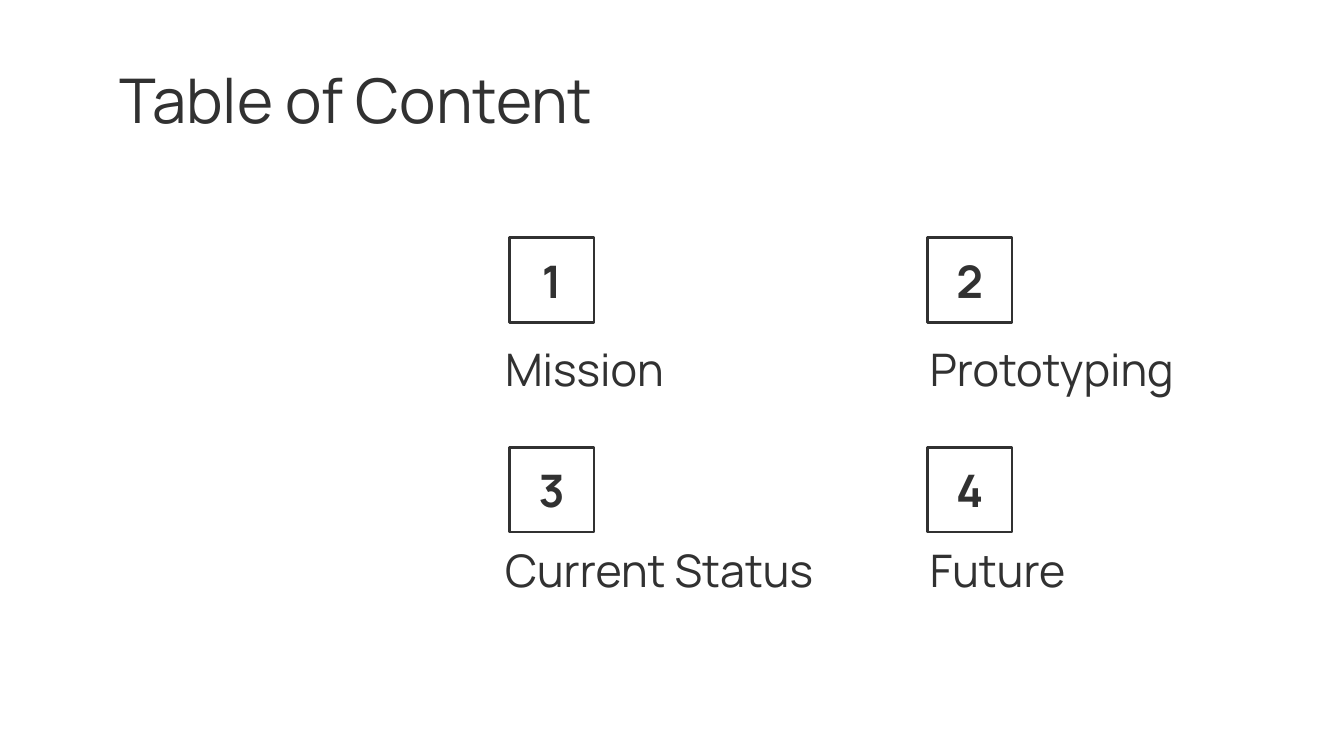
from dataclasses import dataclass

from pptx import Presentation
from pptx.dml.color import RGBColor
from pptx.enum.shapes import MSO_SHAPE
from pptx.enum.text import MSO_ANCHOR, MSO_AUTO_SIZE, PP_ALIGN
from pptx.util import Inches, Pt


@dataclass(frozen=True)
class Theme:
    """Colours, font and type sizes of the slide."""
    ink: RGBColor = RGBColor(0x31, 0x31, 0x31)
    paper: RGBColor = RGBColor(0xFF, 0xFF, 0xFF)
    font: str = "Manrope"
    title_size: Pt = Pt(33)
    entry_size: Pt = Pt(24)
    outline: Pt = Pt(1.5)


THEME = Theme()
ENTRIES = [
    [("Mission", 2.1), ("Prototyping", 2.36)],
    [("Current Status", 2.8), ("Future", 2.1)],
]
BOX_SIZE = 0.63
BOX_LEFTS, BOX_TOPS = (3.79, 6.9), (1.77, 3.33)
LABEL_LEFTS, LABEL_TOPS = (3.66, 6.82), (2.45, 3.95)
LABEL_HEIGHT = 0.58


def write_text(shape, text, size, bold=False, alignment=PP_ALIGN.LEFT):
    """Fill a shape with one line of styled, vertically centred text."""
    frame = shape.text_frame
    frame.word_wrap = True
    frame.auto_size = MSO_AUTO_SIZE.NONE
    frame.vertical_anchor = MSO_ANCHOR.MIDDLE
    frame.margin_left = frame.margin_right = Inches(0.1)
    frame.margin_top = frame.margin_bottom = Inches(0.1)
    paragraph = frame.paragraphs[0]
    paragraph.alignment = alignment
    run = paragraph.add_run()
    run.text = text
    run.font.name = THEME.font
    run.font.size = size
    run.font.bold = bold
    run.font.color.rgb = THEME.ink


def add_title(slide, text):
    """Place and format the title placeholder."""
    title = slide.shapes.title
    title.left, title.top = Inches(0.79), Inches(0.42)
    title.width, title.height = Inches(6.94), Inches(0.63)
    write_text(title, text, THEME.title_size)


def add_number_box(slide, left, top, number):
    """Add an outlined square holding a section number."""
    box = slide.shapes.add_shape(
        MSO_SHAPE.RECTANGLE,
        Inches(left), Inches(top), Inches(BOX_SIZE), Inches(BOX_SIZE),
    )
    box.shadow.inherit = False
    box.fill.background()
    box.line.color.rgb = THEME.ink
    box.line.width = THEME.outline
    write_text(box, str(number), THEME.entry_size, True, PP_ALIGN.CENTER)


def add_label(slide, left, top, width, text):
    """Add a section name."""
    label = slide.shapes.add_textbox(
        Inches(left), Inches(top), Inches(width), Inches(LABEL_HEIGHT)
    )
    write_text(label, text, THEME.entry_size)


def main():
    """Build the table of content slide and save it."""
    presentation = Presentation()
    presentation.slide_width = Inches(10)
    presentation.slide_height = Inches(10 * 9 / 16)
    slide = presentation.slides.add_slide(presentation.slide_layouts[5])
    slide.background.fill.solid()
    slide.background.fill.fore_color.rgb = THEME.paper
    add_title(slide, "Table of Content")
    for row, entries in enumerate(ENTRIES):
        for column, (name, width) in enumerate(entries):
            number = row * len(entries) + column + 1
            add_number_box(slide, BOX_LEFTS[column], BOX_TOPS[row], number)
            add_label(slide, LABEL_LEFTS[column], LABEL_TOPS[row], width, name)
    presentation.save("out.pptx")


if __name__ == "__main__":
    main()
